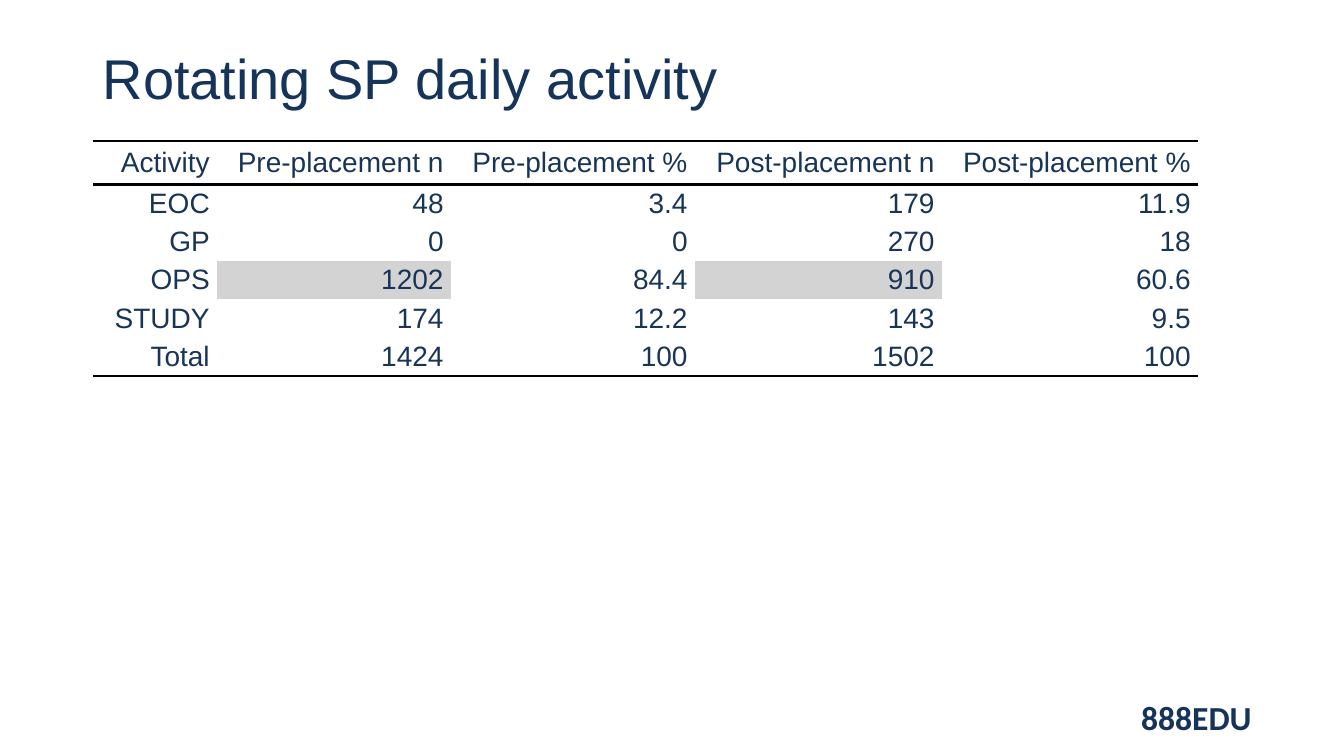
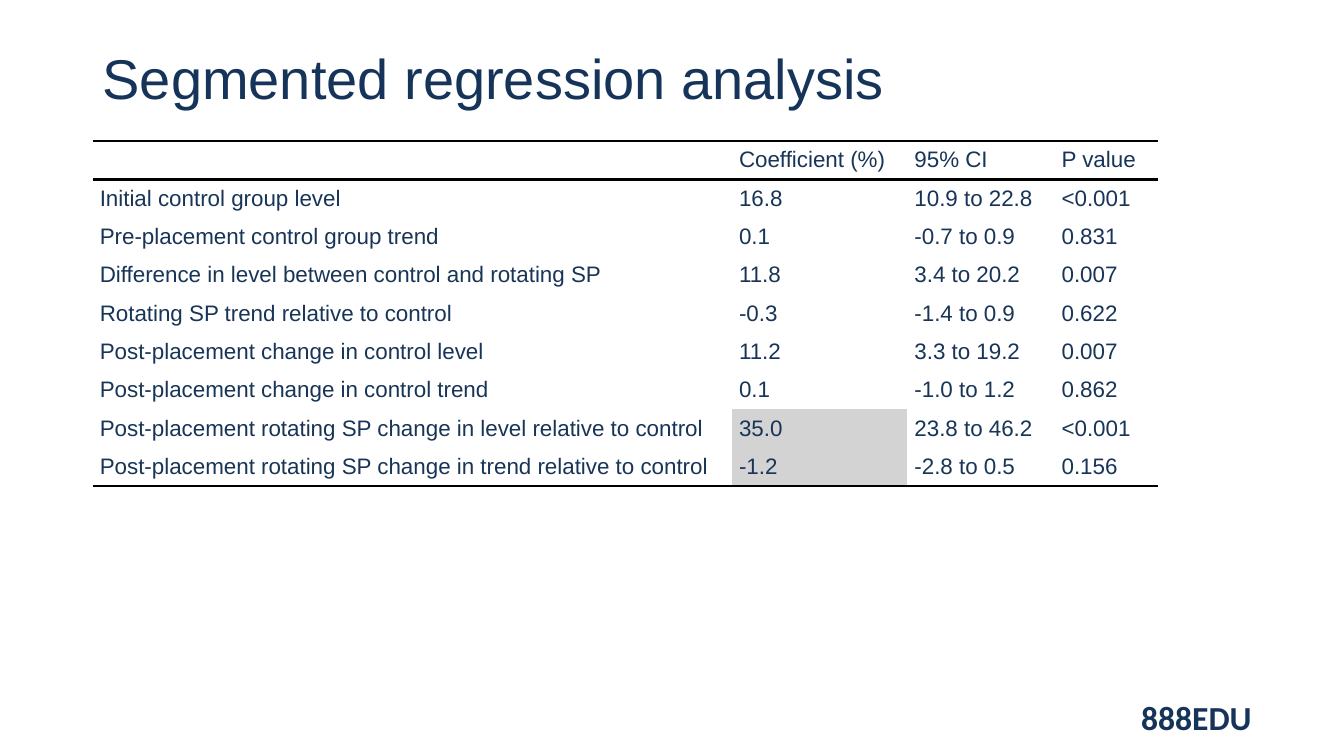
from dataclasses import dataclass

from lxml.etree import SubElement
from pptx import Presentation
from pptx.dml.color import RGBColor as Rgb
from pptx.enum.text import MSO_ANCHOR as Anchor, PP_ALIGN as Align
from pptx.oxml.ns import qn
from pptx.util import Inches, Pt


@dataclass(frozen=True)
class Theme:
    navy: str = "163459"
    table_navy: str = "183558"
    rule: str = "000000"
    highlight: str = "D3D3D3"
    body_font: str = "Arial"
    footer_font: str = "Calibri"
    title_size: int = 40
    footer_size: int = 24
    rule_width: int = 2
    no_table_style: str = "{2D5ABB26-0587-4C30-8999-92F81FD0307C}"


THEME = Theme()
LEFT, TABLE_TOP, ROW_HEIGHT = 0.92, 1.4, 0.38
FOOTER = "888EDU"

ACTIVITY = [
    ("Activity", "Pre-placement n", "Pre-placement %", "Post-placement n", "Post-placement %"),
    ("EOC", "48", "3.4", "179", "11.9"),
    ("GP", "0", "0", "270", "18"),
    ("OPS", "1202", "84.4", "910", "60.6"),
    ("STUDY", "174", "12.2", "143", "9.5"),
    ("Total", "1424", "100", "1502", "100"),
]

REGRESSION = [
    ("", "Coefficient (%)", "95% CI", "P value"),
    ("Initial control group level", "16.8", "10.9 to 22.8", "<0.001"),
    ("Pre-placement control group trend", "0.1", "-0.7 to 0.9", "0.831"),
    ("Difference in level between control and rotating SP", "11.8", "3.4 to 20.2", "0.007"),
    ("Rotating SP trend relative to control", "-0.3", "-1.4 to 0.9", "0.622"),
    ("Post-placement change in control level", "11.2", "3.3 to 19.2", "0.007"),
    ("Post-placement change in control trend", "0.1", "-1.0 to 1.2", "0.862"),
    ("Post-placement rotating SP change in level relative to control",
     "35.0", "23.8 to 46.2", "<0.001"),
    ("Post-placement rotating SP change in trend relative to control",
     "-1.2", "-2.8 to 0.5", "0.156"),
]


def add_run(paragraph, text, size, color, font, bold=False):
    run = paragraph.add_run()
    run.text = text
    run.font.size = Pt(size)
    run.font.name = font
    run.font.bold = bold
    run.font.color.rgb = Rgb.from_string(color)


def add_label(slide, box, text, size, font, bold=False, anchor=Anchor.TOP, line_spacing=1.0):
    frame = slide.shapes.add_textbox(*map(Inches, box)).text_frame
    frame.word_wrap = True
    frame.vertical_anchor = anchor
    paragraph = frame.paragraphs[0]
    paragraph.line_spacing = line_spacing
    add_run(paragraph, text, size, THEME.navy, font, bold)


def add_slide(deck, title):
    """Start a slide with the shared footer and title."""
    slide = deck.slides.add_slide(deck.slide_layouts[6])
    add_label(slide, (11.22, 6.86, 1.54, 0.5), FOOTER,
              THEME.footer_size, THEME.footer_font, bold=True)
    add_label(slide, (LEFT, 0.4, 11.5, 0.81), title, THEME.title_size,
              THEME.body_font, anchor=Anchor.MIDDLE, line_spacing=0.9)
    return slide


def add_rule(cell, side):
    """Draw a cell border; side is lnT or lnB."""
    line = SubElement(cell._tc.get_or_add_tcPr(), qn(f"a:{side}"), w=str(Pt(THEME.rule_width)))
    fill = SubElement(line, qn("a:solidFill"))
    SubElement(fill, qn("a:srgbClr"), val=THEME.rule)


def fill_cell(cell, text, size, align, highlighted):
    cell.margin_left = cell.margin_right = Inches(0.07)
    cell.margin_top = cell.margin_bottom = 0
    cell.vertical_anchor = Anchor.MIDDLE
    if highlighted:
        cell.fill.solid()
        cell.fill.fore_color.rgb = Rgb.from_string(THEME.highlight)
    else:
        cell.fill.background()
    paragraph = cell.text_frame.paragraphs[0]
    paragraph.alignment = align
    paragraph.space_before = paragraph.space_after = Pt(2)
    if text:
        add_run(paragraph, text, size, THEME.table_navy, THEME.body_font)


def add_ruled_table(slide, rows, widths, size, align, highlights, header_height=ROW_HEIGHT):
    """Add a table ruled above and below its header and below its last row."""
    heights = [header_height] + [ROW_HEIGHT] * (len(rows) - 1)
    table = slide.shapes.add_table(
        len(rows), len(widths), Inches(LEFT), Inches(TABLE_TOP),
        Inches(sum(widths)), Inches(sum(heights))).table
    table.first_row = table.horz_banding = False
    table._tbl.tblPr.find(qn("a:tableStyleId")).text = THEME.no_table_style
    for column, width in zip(table.columns, widths):
        column.width = Inches(width)
    for row, height in zip(table.rows, heights):
        row.height = Inches(height)

    last = len(rows) - 1
    for r, texts in enumerate(rows):
        for c, text in enumerate(texts):
            cell = table.cell(r, c)
            # Borders come before the fill in the cell's XML
            if r == 0:
                add_rule(cell, "lnT")
            if r in (0, last):
                add_rule(cell, "lnB")
            fill_cell(cell, text, size, align, (r, c) in highlights)


def main():
    deck = Presentation()
    deck.slide_width, deck.slide_height = Inches(13.33), Inches(7.5)

    # Daily activity before and after placement
    activity = add_slide(deck, "Rotating SP daily activity")
    add_ruled_table(activity, ACTIVITY, (1.23, 2.32, 2.42, 2.45, 2.54), 20,
                    Align.RIGHT, {(3, 1), (3, 3)}, header_height=0.43)

    # Regression coefficients
    regression = add_slide(deck, "Segmented regression analysis")
    add_ruled_table(regression, REGRESSION, (6.34, 1.74, 1.46, 1.03), 16,
                    Align.LEFT, {(7, 1), (8, 1)})

    deck.save("out.pptx")


if __name__ == "__main__":
    main()
